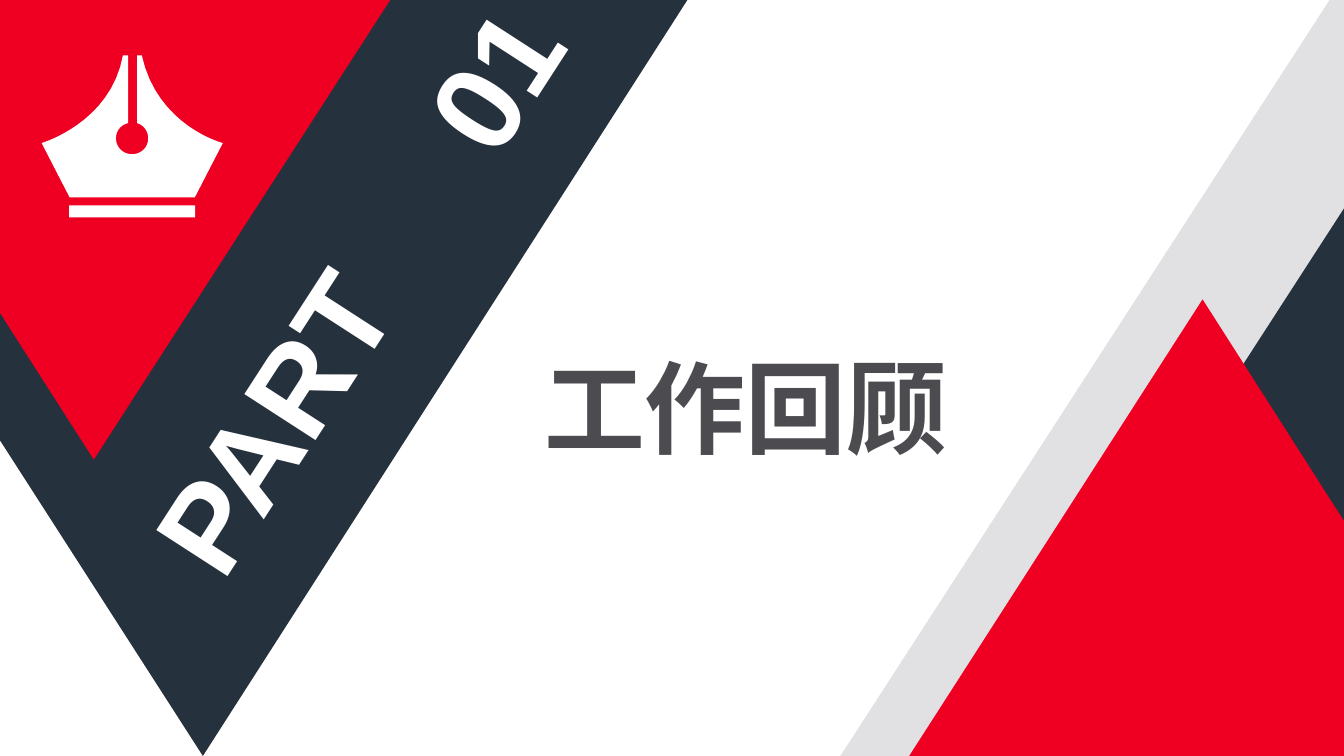
import pptx
import pptx.util
import pptx.dml.color
import pptx.enum.shapes
import pptx.enum.text
import lxml.etree

NAVY = pptx.dml.color.RGBColor(0x25, 0x31, 0x3D)
RED = pptx.dml.color.RGBColor(0xEF, 0x00, 0x23)
GREY = pptx.dml.color.RGBColor(0xE1, 0xE1, 0xE3)
WHITE = pptx.dml.color.RGBColor(0xFF, 0xFF, 0xFF)
CHARCOAL = pptx.dml.color.RGBColor(0x4C, 0x4B, 0x50)


def curve(start, first, second, end, steps=16):
    points = []
    for step in range(steps + 1):
        t = step / steps
        u = 1 - t
        weights = (u ** 3, 3 * u * u * t, 3 * u * t * t, t ** 3)
        knots = (start, first, second, end)
        points.append(tuple(sum(w * knot[axis] for w, knot in zip(weights, knots))
                            for axis in (0, 1)))
    return points


class SlideCanvas:
    """Lengths are percentages of the slide's width and height."""

    font = "Arial"

    def __init__(self, deck):
        self.width = deck.slide_width
        self.height = deck.slide_height
        self.page = deck.slides.add_slide(deck.slide_layouts[6])

    def x(self, share):
        return round(self.width * share / 100)

    def y(self, share):
        return round(self.height * share / 100)

    def place(self, left, top, width, height):
        return self.x(left), self.y(top), self.x(width), self.y(height)

    def group(self):
        return self.page.shapes.add_group_shape().shapes

    def paint(self, shape, color):
        shape.shadow.inherit = False
        shape.fill.solid()
        shape.fill.fore_color.rgb = color
        shape.line.fill.background()

    def polygon(self, points, color, shapes=None):
        shapes = self.page.shapes if shapes is None else shapes
        corners = [(self.x(across), self.y(down)) for across, down in points]
        builder = shapes.build_freeform(*corners[0])
        builder.add_line_segments(corners[1:], close=True)
        self.paint(builder.convert_to_shape(), color)

    def bar(self, area, color, shapes, rotation=0):
        shape = shapes.add_shape(pptx.enum.shapes.MSO_SHAPE.RECTANGLE, *self.place(*area))
        shape.rotation = rotation
        self.paint(shape, color)

    def text(self, area, words, size, color, rotation=0, tab=None):
        box = self.page.shapes.add_textbox(*self.place(*area))
        box.rotation = rotation
        frame = box.text_frame
        frame.word_wrap = tab is not None
        frame.auto_size = pptx.enum.text.MSO_AUTO_SIZE.SHAPE_TO_FIT_TEXT
        para = frame.paragraphs[0]
        if tab is not None:
            frame.margin_right = 0
            namespace = "{http://schemas.openxmlformats.org/drawingml/2006/main}"
            stops = lxml.etree.SubElement(para._p.get_or_add_pPr(), namespace + "tabLst")
            lxml.etree.SubElement(stops, namespace + "tab", pos=str(self.x(tab)), algn="l")
        span = para.add_run()
        span.text = words
        span.font.name = self.font
        span.font.size = pptx.util.Pt(size)
        span.font.bold = True
        span.font.color.rgb = color


def main():
    deck = pptx.Presentation()
    deck.slide_width = pptx.util.Inches(13.33)
    deck.slide_height = pptx.util.Inches(7.5)
    canvas = SlideCanvas(deck)

    canvas.polygon([(15.1, 100), (51.15, 0), (0, 0), (0, 58.25)], NAVY)
    canvas.polygon([(0, 41.4), (6.98, 60.8), (29.03, 0), (0, 0)], RED)

    nib = (
        curve((16.58, 18.93), (16.58, 18.93), (11.7, 16.7), (10.55, 7.33))
        + [(10.2, 7.33)]
        + curve((10.2, 16.3), (10.65, 16.5), (11.03, 17.3), (11.03, 18.3))
        + curve((11.03, 18.3), (11.03, 19.5), (10.5, 20.4), (9.83, 20.4))
        + curve((9.83, 20.4), (9.15, 20.4), (8.63, 19.5), (8.63, 18.3))
        + curve((8.63, 18.3), (8.63, 17.3), (9, 16.5), (9.53, 16.3))
        + [(9.53, 7.33)]
        + curve((9.15, 7.33), (8.25, 16.27), (3.1, 18.93), (3.1, 18.93))
        + [(5.18, 26.1), (14.5, 26.1)]
    )
    pen = canvas.group()
    canvas.polygon(nib, WHITE, pen)
    canvas.bar((5.15, 27.15, 9.38, 1.6), WHITE, pen)

    canvas.text((1.95, 27.6, 49.2, 21.07), "PART\t01", 88, WHITE, rotation=302.9, tab=37.4)

    peaks = canvas.group()
    canvas.bar((81.45, -21.47, 9.38, 143.87), GREY, peaks, rotation=32.9)
    canvas.polygon([(73.65, 100), (111.15, 100), (111.15, 0), (110.03, 0)], NAVY, peaks)
    canvas.polygon([(111.15, 100), (89.48, 39.6), (67.65, 100)], RED, peaks)

    canvas.text((39.75, 45.07, 31.95, 17.47), "工作回顾", 72, CHARCOAL)

    deck.save("out.pptx")


if __name__ == "__main__":
    main()
